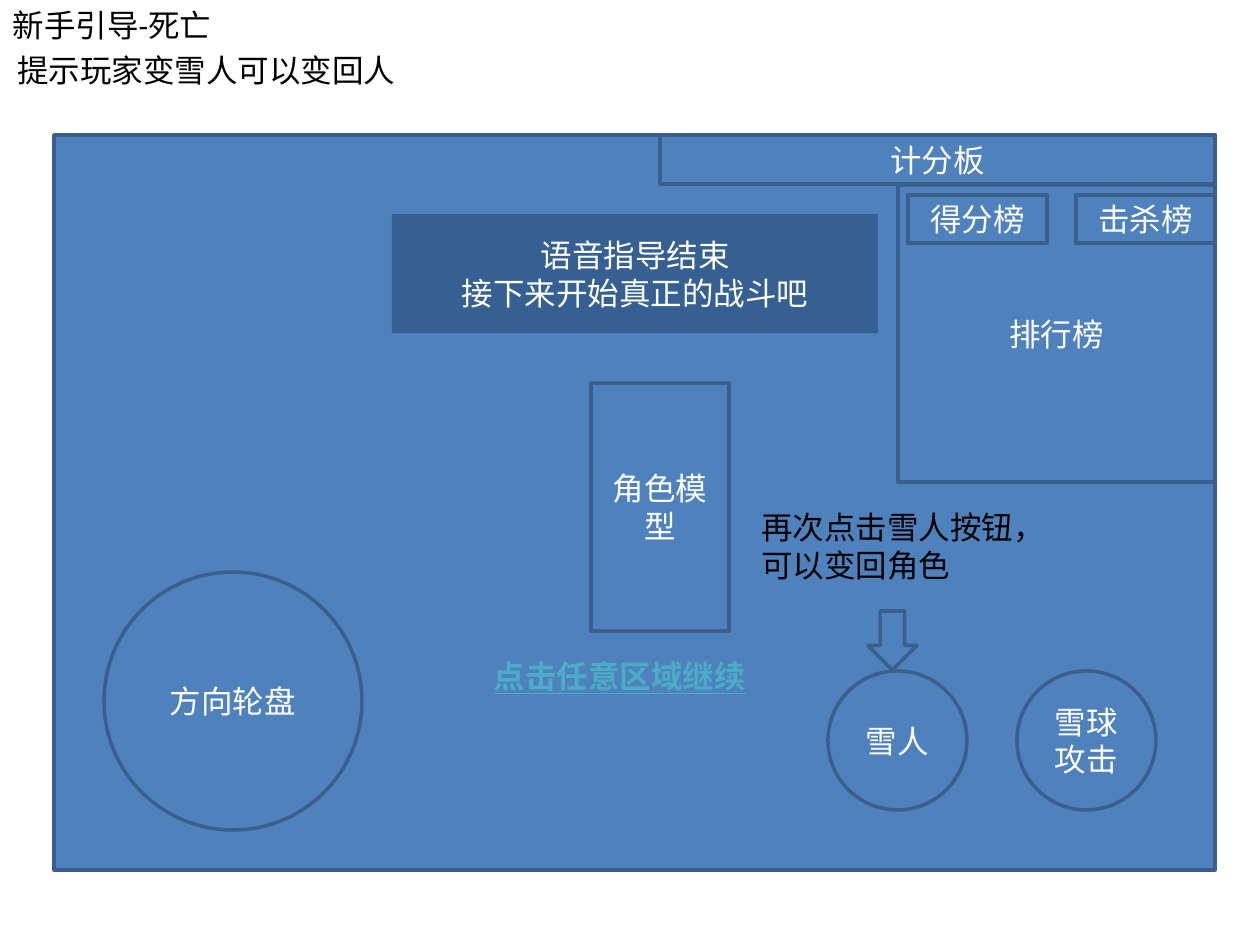
from pptx import Presentation
from pptx.dml.color import RGBColor
from pptx.enum import shapes, text
from pptx.util import Emu, Pt

PX = 914400 // 126
BLUE = RGBColor(0x4F, 0x81, 0xBD)
EDGE = RGBColor(0x3A, 0x5F, 0x8C)
NAVY = RGBColor(0x37, 0x60, 0x92)
TEAL = RGBColor(0x4B, 0xAC, 0xC6)
WHITE = RGBColor(0xFF, 0xFF, 0xFF)
BLACK = RGBColor(0, 0, 0)

RECT = shapes.MSO_SHAPE.RECTANGLE
CIRCLE = shapes.MSO_SHAPE.FLOWCHART_CONNECTOR
ARROW = shapes.MSO_SHAPE.DOWN_ARROW

# Content: places are left, top, width, height in px
TITLE = ("新手引导-死亡", (0, 0, 456, 51))
WIDGETS = [
    (RECT, (54, 135, 1161, 735), []),
    (CIRCLE, (104, 572, 258, 258), ["方向轮盘"]),
    (RECT, (591, 383, 138, 248), ["角色模型"]),
    (CIRCLE, (1017, 671, 139, 139), ["雪球攻击"]),
    (CIRCLE, (828, 671, 139, 139), ["雪人"]),
    (RECT, (660, 135, 555, 49), ["计分板"]),
    (RECT, (898, 185, 317, 297), ["排行榜"]),
    (RECT, (1076, 195, 139, 48), ["击杀榜"]),
    (RECT, (908, 195, 139, 48), ["得分榜"]),
    (ARROW, (868, 611, 49, 59), []),
]
BANNER = ((392, 214, 486, 119), ["语音指导结束", "接下来开始真正的战斗吧"])
NOTES = [
    ("提示玩家变雪人可以变回人", (5, 45, 1255, 51)),
    ("再次点击雪人按钮，可以变回角色", (749, 502, 287, 89)),
]
PROMPT = ("点击任意区域继续", (470, 651, 300, 51))


def scale(place):
    return [Emu(value * PX) for value in place]


def write(box, lines, color, align=text.PP_ALIGN.LEFT,
          anchor=text.MSO_ANCHOR.TOP, strong=False):
    frame = box.text_frame
    frame.word_wrap = True
    frame.vertical_anchor = anchor
    for index, line in enumerate(lines):
        para = frame.add_paragraph() if index else frame.paragraphs[0]
        para.alignment = align
        span = para.add_run()
        span.text = line
        font = span.font
        font.name, font.size, font.color.rgb = "Calibri", Pt(18), color
        if strong:
            font.bold = font.underline = True


def add_widget(page, kind, place, lines, fill=BLUE, edge=EDGE):
    box = page.shapes.add_shape(kind, *scale(place))
    box.shadow.inherit = False
    box.fill.solid()
    box.fill.fore_color.rgb = fill
    if edge is None:
        box.line.fill.background()
    else:
        box.line.color.rgb = edge
        box.line.width = Pt(2)
    if lines:
        write(box, lines, WHITE, text.PP_ALIGN.CENTER, text.MSO_ANCHOR.MIDDLE)


def add_note(page, line, place, color=BLACK, **style):
    box = page.shapes.add_textbox(*scale(place))
    write(box, [line], color, **style)


def main():
    deck = Presentation()
    deck.slide_width, deck.slide_height = scale((1260, 945))
    page = deck.slides.add_slide(deck.slide_layouts[5])

    # Title
    title = page.shapes.title
    line, place = TITLE
    title.left, title.top, title.width, title.height = scale(place)
    write(title, [line], BLACK)
    title.text_frame.auto_size = text.MSO_AUTO_SIZE.NONE

    # Game screen and its controls
    for kind, place, lines in WIDGETS:
        add_widget(page, kind, place, lines)

    # Guidance texts
    for line, place in NOTES:
        add_note(page, line, place)
    place, lines = BANNER
    add_widget(page, RECT, place, lines, NAVY, None)
    line, place = PROMPT
    add_note(page, line, place, TEAL, align=text.PP_ALIGN.CENTER, strong=True)

    deck.save("out.pptx")


if __name__ == "__main__":
    main()
